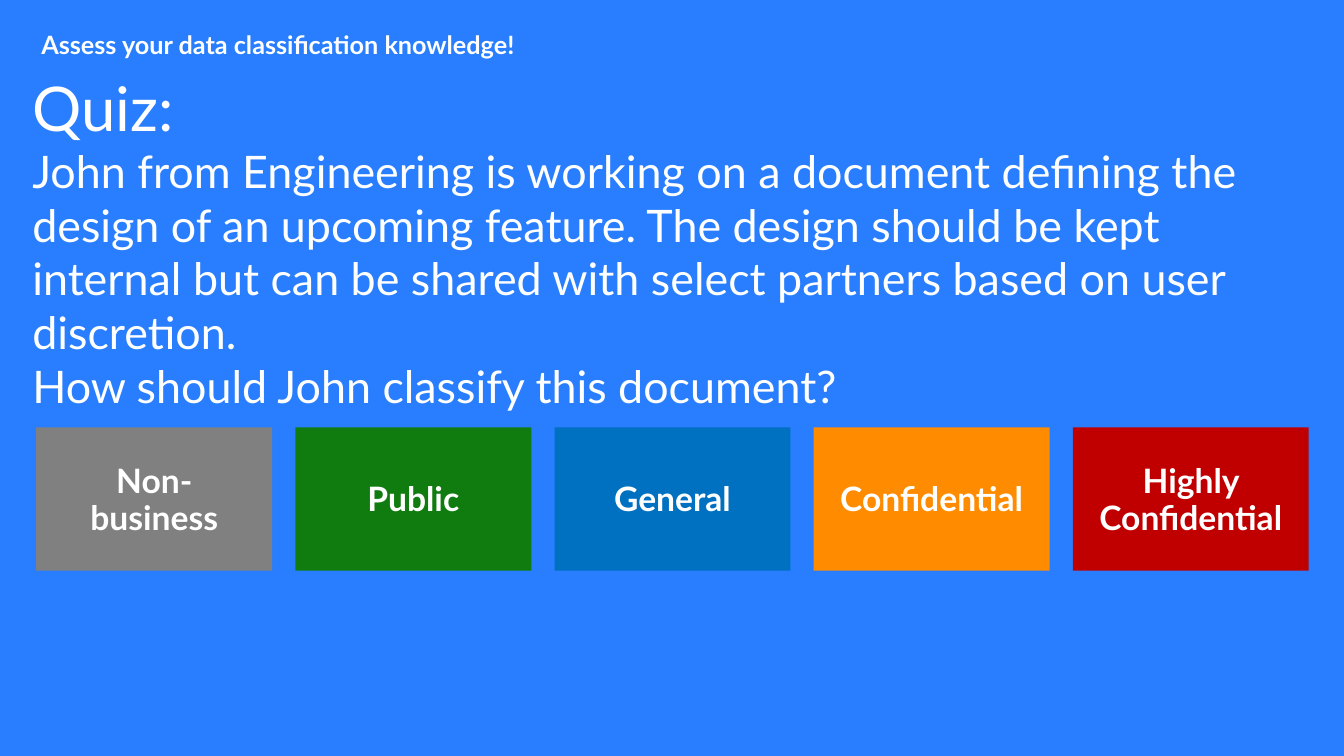
from typing import NamedTuple

from pptx import Presentation
from pptx.dml.color import RGBColor
from pptx.enum.shapes import MSO_SHAPE
from pptx.enum.text import MSO_ANCHOR, MSO_AUTO_SIZE, PP_ALIGN
from pptx.util import Inches, Pt

RECT = MSO_SHAPE.RECTANGLE
TOP, MIDDLE = MSO_ANCHOR.TOP, MSO_ANCHOR.MIDDLE
LEFT, CENTER = PP_ALIGN.LEFT, PP_ALIGN.CENTER
NO_FIT = MSO_AUTO_SIZE.NONE

FONT = "Lato"
COLORS = {
    "background": "287EFF",
    "text": "FFFFFF",
    "gray": "808080",
    "green": "107C10",
    "blue": "0070C0",
    "orange": "FF8C00",
    "red": "C00000",
}

# Slide and answer grid, in inches
SLIDE_WIDTH, SLIDE_HEIGHT = 13.33, 7.5
GRID_LEFT, GRID_TOP = 0.36, 4.24
COLUMN_STEP = 2.57
BOX_WIDTH, BOX_HEIGHT = 2.34, 1.42


class Answer(NamedTuple):
    label: str
    color: str


class Line(NamedTuple):
    text: str
    size: int


ANSWERS = [
    Answer("Non-business", "gray"),
    Answer("Public", "green"),
    Answer("General", "blue"),
    Answer("Confidential", "orange"),
    Answer("Highly Confidential", "red"),
]
QUESTION = [
    Line("Quiz:", 44),
    Line("John from Engineering is working on a document defining the design "
         "of an upcoming feature. The design should be kept internal but can "
         "be shared with select partners based on user discretion.", 32),
    Line("How should John classify this document?", 32),
]


def rgb(name: str) -> RGBColor:
    return RGBColor.from_string(COLORS[name])


def place(sp, left: float, top: float, width: float, height: float) -> None:
    sp.left, sp.top = Inches(left), Inches(top)
    sp.width, sp.height = Inches(width), Inches(height)


def set_frame(tf, anchor, left: float, top: float, right: float, bottom: float) -> None:
    tf.word_wrap = True
    tf.auto_size = NO_FIT
    tf.vertical_anchor = anchor
    tf.margin_left, tf.margin_top = Inches(left), Inches(top)
    tf.margin_right, tf.margin_bottom = Inches(right), Inches(bottom)


def format_line(p, size: int, bold: bool, align, spacing: float) -> None:
    p.alignment = align
    p.line_spacing = spacing
    p.space_before = Pt(0)
    for r in p.runs:
        r.font.name = FONT
        r.font.size = Pt(size)
        r.font.bold = bold
        r.font.color.rgb = rgb("text")


def remove_bullet(p) -> None:
    pPr = p._p.get_or_add_pPr()
    pPr.set("marL", "0")
    pPr.set("indent", "0")
    bullet = pPr.makeelement(
        "{http://schemas.openxmlformats.org/drawingml/2006/main}buNone", {})
    pPr.append(bullet)


def add_rect(s, left: float, top: float, width: float, height: float, color: str):
    sp = s.shapes.add_shape(
        RECT, Inches(left), Inches(top), Inches(width), Inches(height))
    sp.shadow.inherit = False
    sp.fill.solid()
    sp.fill.fore_color.rgb = rgb(color)
    sp.line.fill.background()
    return sp


def add_answer(s, column: int, answer: Answer) -> None:
    sp = add_rect(s, GRID_LEFT + column * COLUMN_STEP, GRID_TOP,
                  BOX_WIDTH, BOX_HEIGHT, answer.color)
    tf = sp.text_frame
    set_frame(tf, MIDDLE, 0.2, 0.2, 0.2, 0.16)
    tf.text = answer.label
    format_line(tf.paragraphs[0], 24, True, CENTER, 0.9)


prs = Presentation()
prs.slide_width, prs.slide_height = Inches(SLIDE_WIDTH), Inches(SLIDE_HEIGHT)
s = prs.slides.add_slide(prs.slide_layouts[1])

# Backdrop, moved behind the placeholders
backdrop = add_rect(s, 0, 0, SLIDE_WIDTH, SLIDE_HEIGHT, "background")
s.shapes.title._element.addprevious(backdrop._element)

# Heading
title = s.shapes.title
place(title, 0.21, 0.16, 5.91, 0.6)
set_frame(title.text_frame, TOP, 0.2, 0.16, 0.2, 0.16)
title.text_frame.text = "Assess your data classification knowledge!"
format_line(title.text_frame.paragraphs[0], 18, True, LEFT, 0.9)

# Question
body = s.placeholders[1]
place(body, 0.22, 0.64, 12.89, 3.67)
tf = body.text_frame
set_frame(tf, TOP, 0.1, 0.05, 0.1, 0.05)
tf.text = "\n".join(line.text for line in QUESTION)
for p, line in zip(tf.paragraphs, QUESTION):
    format_line(p, line.size, False, LEFT, 1.0)
    remove_bullet(p)

# Answers
for column, answer in enumerate(ANSWERS):
    add_answer(s, column, answer)

prs.save("out.pptx")
